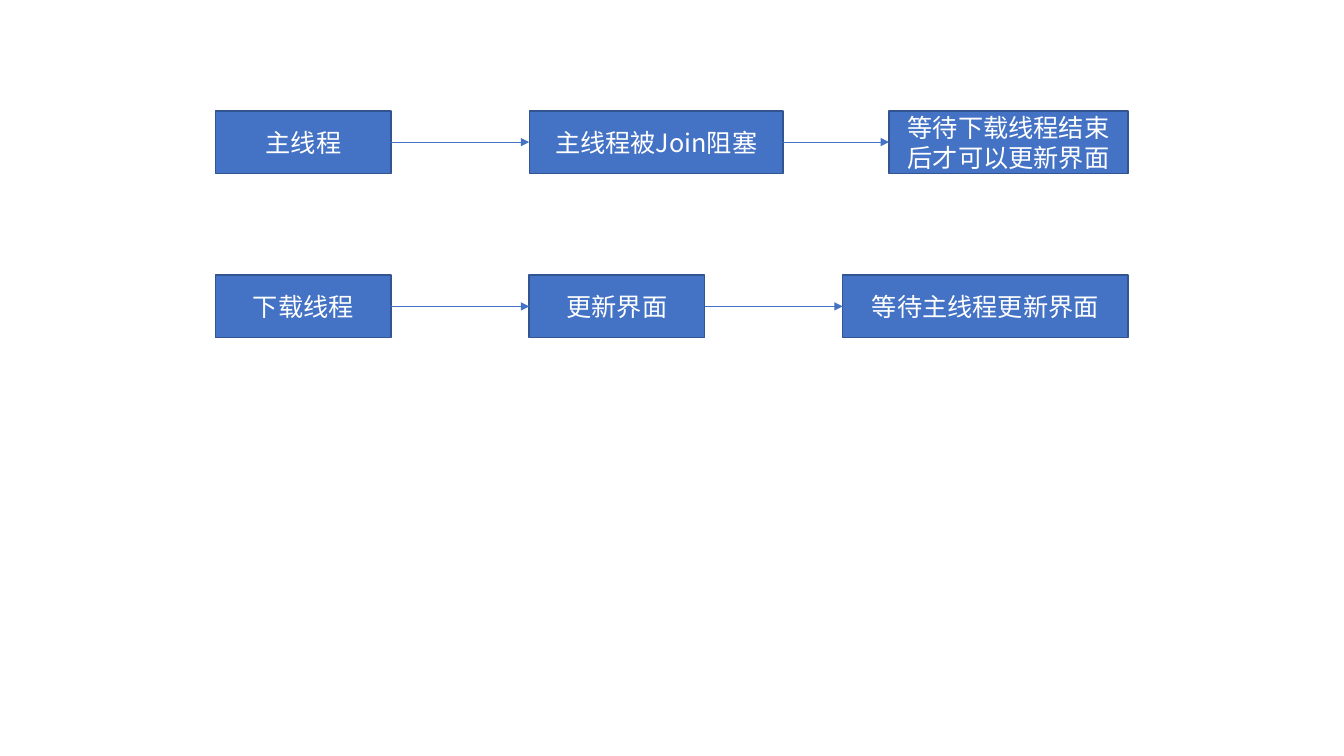
from lxml import etree
from pptx import Presentation
from pptx import util as u
from pptx.dml import color as clr
from pptx.enum import shapes, text
from pptx.oxml import ns

HUES = {"fill": "4472C4", "edge": "325491", "text": "FFFFFF"}
FACE = "Noto Sans CJK SC"
FONT = {"name": FACE, "size": u.Pt(18)}
FRAME = {"word_wrap": True, "vertical_anchor": text.MSO_ANCHOR.MIDDLE}
STEP = 223.92  # from the left of a row to its second node

# top of row, then (label, width) of each node
ROWS = [
    (79.2, [("主线程", 125.28), ("主线程被Join阻塞", 181.44),
            ("等待下载线程结束后才可以更新界面", 170.64)]),
    (196.56, [("下载线程", 125.28), ("更新界面", 125.28),
              ("等待主线程更新界面", 203.76)]),
]


def hue(name):
    return clr.RGBColor.from_string(HUES[name])


def style(item, vals):
    for key, val in vals.items():
        setattr(item, key, val)


def add_node(slide, label, box):
    node = slide.shapes.add_shape(
        shapes.MSO_SHAPE.RECTANGLE, *(u.Pt(v) for v in box))
    node.shadow.inherit = False
    node.fill.solid()
    node.fill.fore_color.rgb = hue("fill")
    node.line.color.rgb = hue("edge")
    node.line.width = u.Pt(1)
    style(node.text_frame, FRAME)
    para = node.text_frame.paragraphs[0]
    para.alignment = text.PP_ALIGN.CENTER
    run = para.add_run()
    run.text = label
    style(run.font, FONT)
    run.font.color.rgb = hue("text")
    etree.SubElement(run._r.get_or_add_rPr(), ns.qn("a:ea"), typeface=FACE)
    return node


def add_arrow(slide, start, end):
    """Join the right side of start to the left side of end."""
    line = slide.shapes.add_connector(shapes.MSO_CONNECTOR.STRAIGHT, 0, 0, 0, 0)
    line.begin_connect(start, 3)
    line.end_connect(end, 1)
    line.line.color.rgb = hue("fill")
    line.line.width = u.Pt(0.5)
    etree.SubElement(line.line._get_or_add_ln(), ns.qn("a:tailEnd"),
                     type="triangle")
    etree.SubElement(line._element.spPr, ns.qn("a:effectLst"))


def add_row(slide, box, items):
    """Place three linked nodes, the last one flush with the right edge."""
    left, top, width, height = box
    lefts = [left, left + STEP, left + width - items[-1][1]]
    nodes = [add_node(slide, label, (x, top, wide, height))
             for x, (label, wide) in zip(lefts, items)]
    for start, end in zip(nodes, nodes[1:]):
        add_arrow(slide, start, end)


def main():
    deck = Presentation()
    style(deck, {"slide_width": u.Pt(960), "slide_height": u.Pt(540)})
    slide = deck.slides.add_slide(deck.slide_layouts[6])
    for top, items in ROWS:
        add_row(slide, (154.08, top, 651.6, 44.64), items)
    deck.save("out.pptx")


if __name__ == "__main__":
    main()
